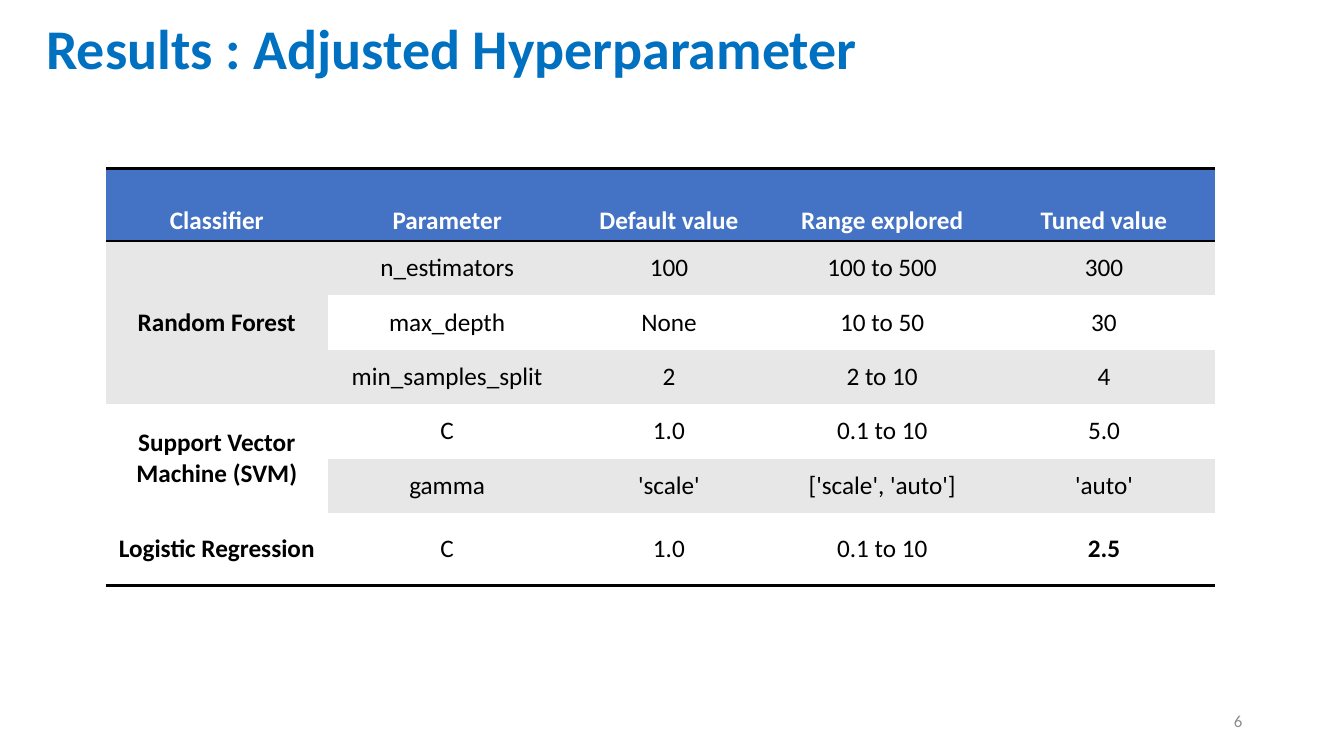
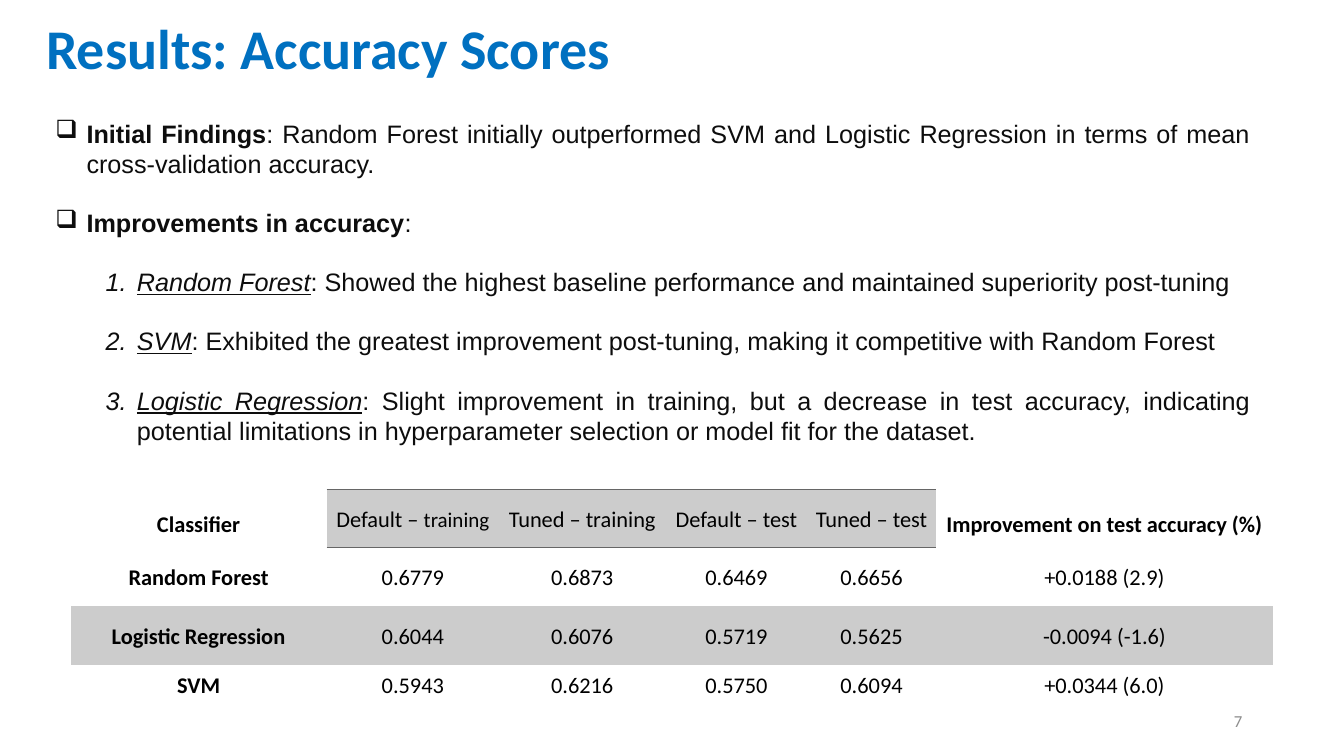
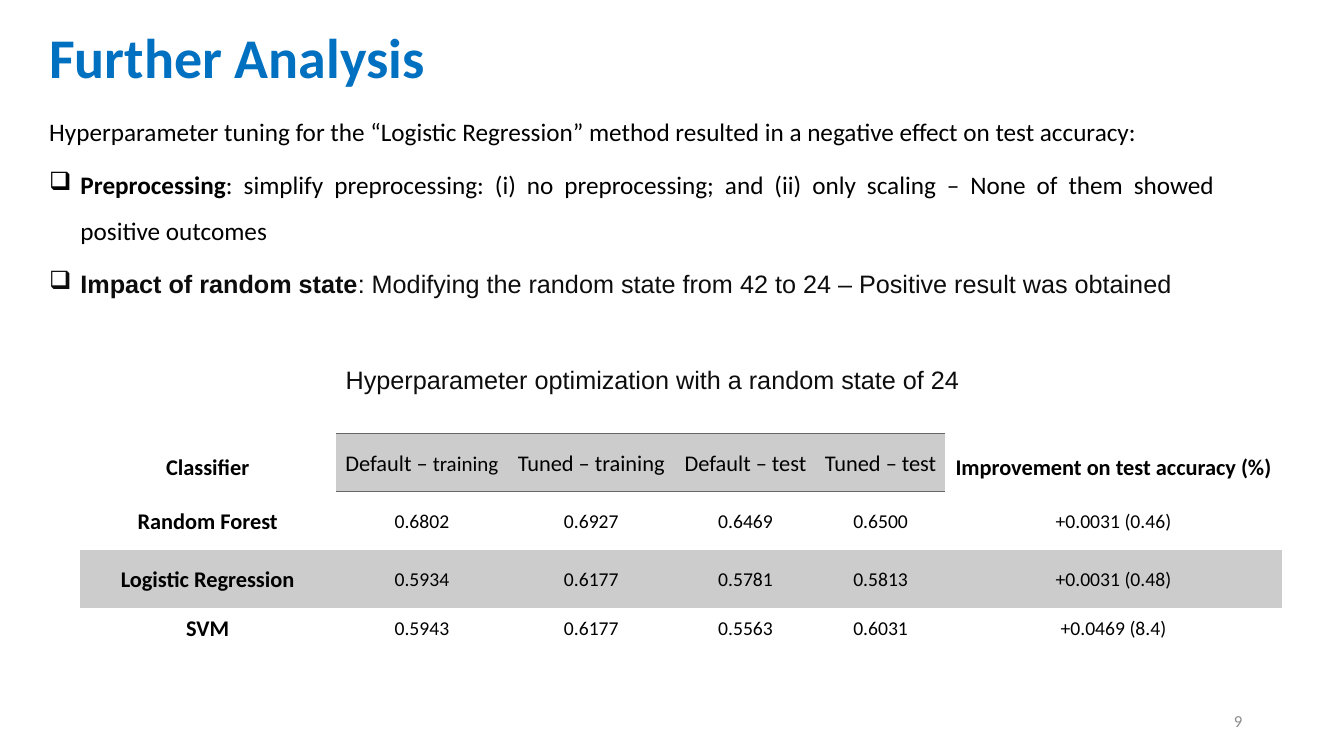
from dataclasses import dataclass

from lxml import etree
from pptx import Presentation
from pptx import util as u
from pptx.dml.color import RGBColor
from pptx.enum import text as t
from pptx.oxml.ns import qn


@dataclass(frozen=True)
class Theme:
    title: str = "0070C0"
    ink: str = "000000"
    soft_ink: str = "0D0D0D"
    page: str = "8C8C8C"
    white: str = "FFFFFF"
    header: str = "4472C4"
    band: str = "E7E7E7"
    shade: str = "CCCCCC"
    rule: str = "666666"
    sans: str = "Calibri"
    plain: str = "Arial"
    title_pt: int = 40
    body_pt: int = 18
    label_pt: int = 16
    value_pt: int = 14
    page_pt: int = 12


TH = Theme()
NO_GRID = "{2D5ABB26-0587-4C30-8999-92F81FD0307C}"
ALIGN, ANCHOR = t.PP_ALIGN, t.MSO_ANCHOR
INDENT = 0.31
BLANK_LINE = 20.7  # height of one body line, in points

# Content: a run is (text, flags) with flags b, i, u
PARAMETER_HEAD = ["Classifier", "Parameter", "Default value", "Range explored", "Tuned value"]
PARAMETERS = [
    ("Random Forest", [
        ("n_estimators", "100", "100 to 500", "300"),
        ("max_depth", "None", "10 to 50", "30"),
        ("min_samples_split", "2", "2 to 10", "4")]),
    ("Support Vector Machine (SVM)", [
        ("C", "1.0", "0.1 to 10", "5.0"),
        ("gamma", "'scale'", "['scale', 'auto']", "'auto'")]),
    ("Logistic Regression", [("C", "1.0", "0.1 to 10", "2.5")]),
]
BEST_VALUE = "2.5"

FINDINGS = [
    ("❑", [("Initial Findings", "b"),
           (": Random Forest initially outperformed SVM and Logistic Regression in terms of "
            "mean cross-validation accuracy.", "")]),
    ("❑", [("Improvements in accuracy", "b"), (":", "")]),
    ("1.", [("Random Forest", "iu"),
            (": Showed the highest baseline performance and maintained superiority post-tuning", "")]),
    ("1.", [("SVM", "iu"),
            (": Exhibited the greatest improvement post-tuning, making it competitive with "
             "Random Forest", "")]),
    ("1.", [("Logistic Regression", "iu"),
            (": Slight improvement in training, but a decrease in test accuracy, indicating "
             "potential limitations in hyperparameter selection or model fit for the dataset.", "")]),
]
ANALYSIS = [
    ("", TH.sans, TH.ink,
     [("Hyperparameter tuning for the “Logistic Regression” method resulted in a negative "
       "effect on test accuracy:", "")]),
    ("❑", TH.sans, TH.ink,
     [("Preprocessing", "b"),
      (": simplify preprocessing: (i) no preprocessing; and (ii) only scaling – None of them "
       "showed positive outcomes", "")]),
    ("❑", TH.plain, TH.soft_ink,
     [("Impact of random state", "b"),
      (": Modifying the random state from 42 to 24 – Positive result was obtained", "")]),
]
CAPTION = "Hyperparameter optimization with a random state of 24"

SCORE_HEAD = [[("Default – ", ""), ("training", "s")], "Tuned – training", "Default – test",
              "Tuned – test"]
SCORES = [
    ("Random Forest", "0.6779", "0.6873", "0.6469", "0.6656", "+0.0188 (2.9)"),
    ("Logistic Regression", "0.6044", "0.6076", "0.5719", "0.5625", "-0.0094 (-1.6)"),
    ("SVM", "0.5943", "0.6216", "0.5750", "0.6094", "+0.0344 (6.0)"),
]
SCORES_STATE_24 = [
    ("Random Forest", "0.6802", "0.6927", "0.6469", "0.6500", "+0.0031 (0.46)"),
    ("Logistic Regression", "0.5934", "0.6177", "0.5781", "0.5813", "+0.0031 (0.48)"),
    ("SVM", "0.5943", "0.6177", "0.5563", "0.6031", "+0.0469 (8.4)"),
]


# Text
def write(paragraph, runs, size, color=TH.ink, face=TH.sans, bold=False, align=None, spacing=None):
    font = paragraph.font
    font.size, font.name, font.bold = u.Pt(size), face, bold
    font.color.rgb = RGBColor.from_string(color)
    paragraph.alignment = align
    if spacing:
        paragraph.line_spacing = spacing
    for words, flags in [(runs, "")] if isinstance(runs, str) else runs:
        run = paragraph.add_run()
        run.text = words
        if "b" in flags:
            run.font.bold = True
        if "i" in flags:
            run.font.italic = True
        if "u" in flags:
            run.font.underline = True
        if "s" in flags:
            run.font.size = u.Pt(size - 1)


def bullet(paragraph, mark, level=0):
    props = paragraph._p.get_or_add_pPr()
    paragraph.level = level
    props.set("marL", str(u.Inches(INDENT + level / 2)))
    props.set("indent", str(-u.Inches(INDENT)))
    if mark == "1.":
        etree.SubElement(props, qn("a:buAutoNum"), type="arabicPeriod")
    else:
        etree.SubElement(props, qn("a:buChar"), char=mark)


def text_box(slide, box, anchor=ANCHOR.TOP):
    frame = slide.shapes.add_textbox(*map(u.Inches, box)).text_frame
    frame.word_wrap = True
    frame.vertical_anchor = anchor
    return frame


def paragraphs(frame, items):
    for index, item in enumerate(items):
        yield (frame.add_paragraph() if index else frame.paragraphs[0]), item


def new_slide(deck, title, page, box=(0.36, 0.11, 12.42, 0.8), spacing=0.9):
    slide = deck.slides.add_slide(deck.slide_layouts[6])
    write(text_box(slide, box, ANCHOR.MIDDLE).paragraphs[0], title, TH.title_pt, TH.title,
          bold=True, spacing=spacing)
    write(text_box(slide, (9.42, 6.95, 3, 0.4), ANCHOR.MIDDLE).paragraphs[0], page, TH.page_pt,
          TH.page, align=ALIGN.RIGHT)
    return slide


# Tables
def new_table(slide, left, top, cols, rows):
    box = map(u.Inches, (left, top, sum(cols), sum(rows)))
    table = slide.shapes.add_table(len(rows), len(cols), *box).table
    table.first_row = table.horz_banding = False
    table._tbl.tblPr.find(qn("a:tableStyleId")).text = NO_GRID
    for column, width in zip(table.columns, cols):
        column.width = u.Inches(width)
    for row, height in zip(table.rows, rows):
        row.height = u.Inches(height)
    return table


def border(cell, sides, color, width):
    props = cell._tc.get_or_add_tcPr()
    for side in sides:
        line = etree.SubElement(props, qn(f"a:ln{side}"), w=str(u.Pt(width)))
        fill = etree.SubElement(line, qn("a:solidFill"))
        etree.SubElement(fill, qn("a:srgbClr"), val=color)


def put(cell, runs, size, color=TH.ink, bold=False, fill=None, anchor=ANCHOR.MIDDLE, spacing=None):
    cell.vertical_anchor = anchor
    if fill:
        cell.fill.solid()
        cell.fill.fore_color.rgb = RGBColor.from_string(fill)
    write(cell.text_frame.paragraphs[0], runs, size, color, bold=bold, align=ALIGN.CENTER,
          spacing=spacing)


def parameter_table(slide):
    count = sum(len(settings) for _, settings in PARAMETERS)
    heights = [0.72] + [0.54] * (count - 1) + [0.72]
    table = new_table(slide, 1.05, 1.67, [2.2, 2.37, 2.03, 2.2, 2.2], heights)
    for col, label in enumerate(PARAMETER_HEAD):
        border(table.cell(0, col), "TB", TH.ink, 2)
        border(table.cell(count, col), "B", TH.ink, 2)
        put(table.cell(0, col), label, TH.body_pt, TH.white, True, TH.header, ANCHOR.BOTTOM)
    row = 1
    for classifier, settings in PARAMETERS:
        first = table.cell(row, 0)
        if len(settings) > 1:
            first.merge(table.cell(row + len(settings) - 1, 0))
        put(first, classifier, TH.body_pt, bold=True, fill=TH.band if row % 2 else TH.white)
        for values in settings:
            # Odd rows are banded, except the closing one-row group
            fill = TH.band if row in (1, 3, 5) else TH.white
            for col, value in enumerate(values, 1):
                put(table.cell(row, col), value, TH.body_pt, bold=value == BEST_VALUE, fill=fill)
            row += 1


def score_table(slide, left, top, scores, value_pt):
    table = new_table(slide, left, top, [2.54, 1.71, 1.65, 1.41, 1.27, 3.35],
                      [0.2, 0.43, 0.58, 0.58, 0.39])
    for cell in table.iter_cells():
        cell.margin_left = cell.margin_right = u.Inches(0.07)
        cell.margin_top = cell.margin_bottom = 0
    # Header: outer labels span both rows, the middle ones sit under a rule
    table.cell(0, 1).merge(table.cell(0, 4))
    for col, label in ((0, "Classifier"), (5, "Improvement on test accuracy (%)")):
        cell = table.cell(0, col)
        cell.merge(table.cell(1, col))
        cell.margin_top = u.Inches(0.29)
        put(cell, label, TH.label_pt, bold=True, spacing=1.07)
    for col, label in enumerate(SCORE_HEAD, 1):
        border(table.cell(0, col), "B", TH.rule, 1)
        border(table.cell(1, col), "T", TH.rule, 1)
        put(table.cell(1, col), label, TH.label_pt, fill=TH.shade, spacing=1.07)
    for row, values in enumerate(scores, 2):
        for col, value in enumerate(values):
            put(table.cell(row, col), value, value_pt if col else TH.label_pt, bold=col == 0,
                fill=TH.shade if row == 3 else None, spacing=1.07)
    # Empty cells stay small so that the thin first row keeps its height
    for cell in table.iter_cells():
        if not cell.text_frame.text:
            etree.SubElement(cell.text_frame.paragraphs[0]._p, qn("a:endParaRPr"), sz="800")


# Slides
def main():
    deck = Presentation()
    deck.slide_width, deck.slide_height = u.Inches(13.33), u.Inches(7.5)

    parameter_table(new_slide(deck, "Results : Adjusted Hyperparameter", "6"))

    accuracy = new_slide(deck, "Results: Accuracy Scores", "7")
    findings = text_box(accuracy, (0.45, 1.12, 12.05, 3.43))
    for paragraph, (mark, runs) in paragraphs(findings, FINDINGS):
        bullet(paragraph, mark, int(mark == "1."))
        paragraph.space_after = u.Pt(BLANK_LINE)
        write(paragraph, runs, TH.body_pt, TH.soft_ink, TH.plain, align=ALIGN.JUSTIFY)
    score_table(accuracy, 0.7, 4.66, SCORES, TH.label_pt)

    further = new_slide(deck, "Further Analysis", "9", (0.39, 0.17, 10.18, 0.77), None)
    analysis = text_box(further, (0.39, 0.95, 11.76, 2.04))
    for paragraph, (mark, face, color, runs) in paragraphs(analysis, ANALYSIS):
        if mark:
            bullet(paragraph, mark)
        paragraph.space_after = u.Pt(6)
        write(paragraph, runs, TH.body_pt, color, face, align=ALIGN.JUSTIFY, spacing=1.5)
    score_table(further, 0.79, 4.1, SCORES_STATE_24, TH.value_pt)
    write(text_box(further, (3.33, 3.57, 6.66, 0.4)).paragraphs[0], CAPTION, TH.body_pt,
          TH.soft_ink, TH.plain)

    deck.save("out.pptx")


if __name__ == "__main__":
    main()
